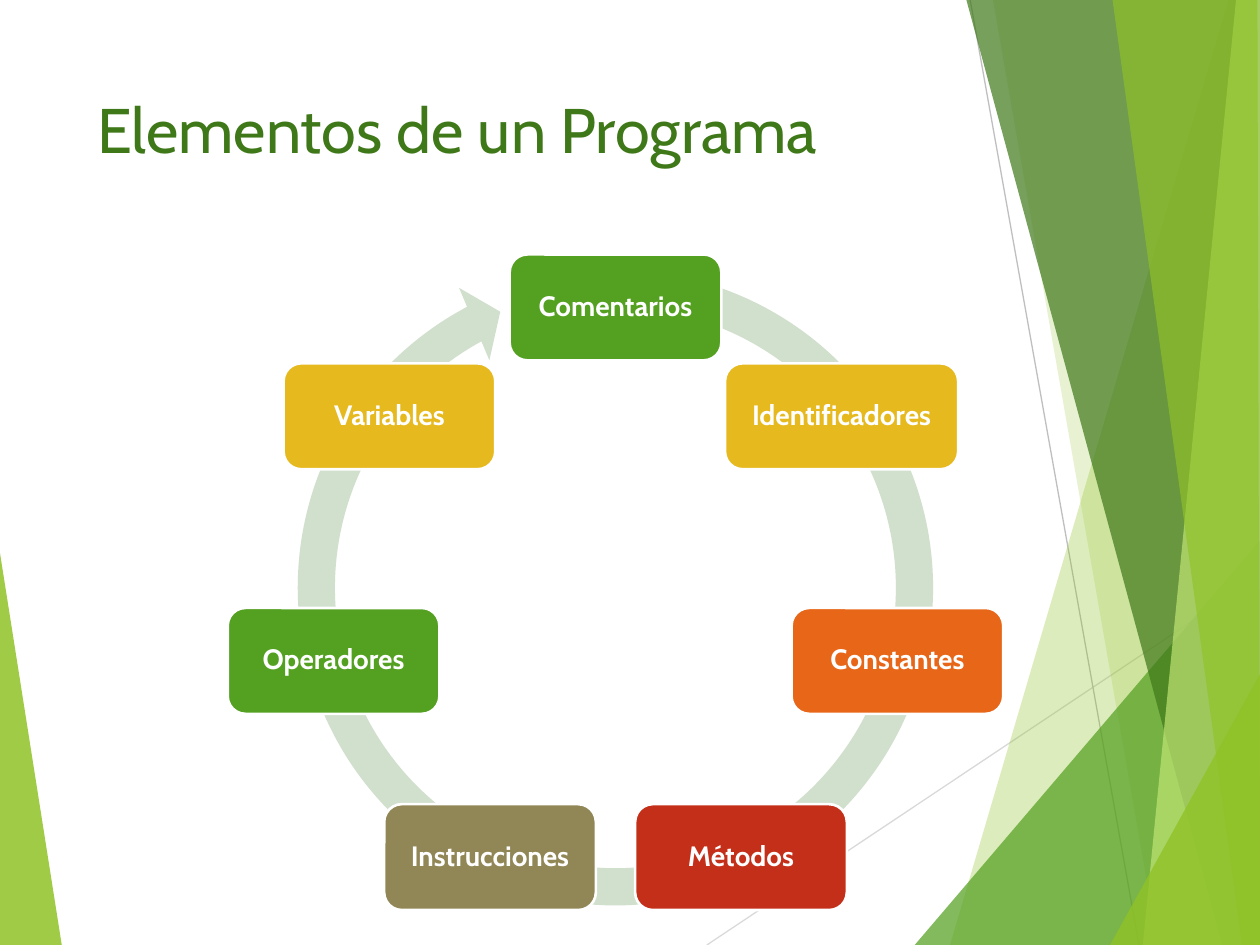
from math import cos, sin, tau
from lxml.etree import SubElement as Sub
from pptx import Presentation as Deck
from pptx.dml.color import RGBColor as Rgb
from pptx.enum.shapes import MSO_CONNECTOR as Link, MSO_SHAPE as Kind
from pptx.enum.text import MSO_ANCHOR as Anchor, MSO_AUTO_SIZE as Fit, PP_ALIGN as Align
from pptx.oxml.ns import qn
from pptx.util import Inches, Pt

FONT = "Cabin"
COLORS = {
    "lime": "90C226", "green": "54A021", "forest": "3F7819", "pale": "C0E474",
    "gold": "E6B91E", "orange": "E76618", "red": "C42F1A", "olive": "918655",
    "ring": "D1DFCD", "white": "FFFFFF", "gray": "BFBFBF", "mist": "D9D9D9",
}
LINES = [
    ("mist", (5.61, 7.5), (10, 4.57)),
    ("gray", (7.7, 0), (9.04, 7.5)),
]
FACETS = [
    ("lime", 85, [(0, 4.39), (0.49, 7.5), (0, 7.5)]),
    ("lime", 30, [(9.75, 0), (7.54, 7.5), (10, 7.5), (10, 0)]),
    ("lime", 20, [(7.88, 0), (9.19, 7.5), (10, 7.5), (10, 0)]),
    ("green", 72, [(7.26, 7.5), (10, 4.29), (10, 7.5)]),
    ("forest", 70, [(7.67, 0), (9.7, 7.5), (10, 7.5), (10, 0)]),
    ("pale", 70, [(9.81, 0), (9.07, 7.5), (10, 7.5), (10, 0)]),
    ("lime", 65, [(8.83, 0), (9.86, 7.5), (10, 7.5), (9.98, 0)]),
    ("lime", 80, [(8.81, 7.5), (10, 5.35), (10, 7.5)]),
]
NODES = [
    ("Comentarios", "green", 1.68), ("Identificadores", "gold", 1.85),
    ("Constantes", "orange", 1.68), ("Métodos", "red", 1.68),
    ("Instrucciones", "olive", 1.68), ("Operadores", "green", 1.68),
    ("Variables", "gold", 1.68),
]


def tint(name):
    return Rgb.from_string(COLORS[name])


def paint(shape, name, alpha=100):
    shape.shadow.inherit = False
    shape.fill.solid()
    shape.fill.fore_color.rgb = tint(name)
    shape.line.fill.background()
    if alpha < 100:
        color = shape.fill._xPr.find(qn("a:solidFill"))[0]
        Sub(color, qn("a:alpha")).set("val", str(alpha * 1000))


def write(shape, text, size, name, align, bold=False):
    par = shape.text_frame.paragraphs[0]
    par.alignment = align
    run = par.add_run()
    run.text = text
    run.font.name = FONT
    run.font.size = Pt(size)
    run.font.bold = bold
    run.font.color.rgb = tint(name)
    return par


def add_decor(slide, left, top):
    def spot(point):
        return Inches(left + point[0]), Inches(top + point[1])

    for name, start, end in LINES:
        line = slide.shapes.add_connector(Link.STRAIGHT, *spot(start), *spot(end))
        line.line.color.rgb = tint(name)
        line.line.width = Pt(0.75)
        Sub(line._element.spPr, qn("a:effectLst"))
    for name, alpha, points in FACETS:
        pen = slide.shapes.build_freeform(*spot(points[0]))
        pen.add_line_segments([spot(p) for p in points[1:]], close=True)
        paint(pen.convert_to_shape(), name, alpha)


def add_title(slide, left, top, width, height):
    title = slide.shapes.title
    title.left, title.top = Inches(left), Inches(top)
    title.width, title.height = Inches(width), Inches(height)
    title.text_frame.vertical_anchor = Anchor.TOP
    title.text_frame.auto_size = Fit.NONE
    write(title, "Elementos de un Programa", 36, "forest", Align.LEFT)


def add_node(slide, mid_x, mid_y, text, name, width, height=0.84):
    node = slide.shapes.add_shape(
        Kind.ROUNDED_RECTANGLE, Inches(mid_x - width / 2),
        Inches(mid_y - height / 2), Inches(width), Inches(height))
    paint(node, name)
    node.line.color.rgb = tint("white")
    node.line.width = Pt(1.5)
    frame = node.text_frame
    frame.word_wrap = True
    frame.vertical_anchor = Anchor.MIDDLE
    frame.margin_left = frame.margin_right = Inches(0.11)
    frame.margin_top = frame.margin_bottom = Inches(0.11)
    par = write(node, text, 16, "white", Align.CENTER, True)
    par.line_spacing = 0.9


def add_cycle(slide, left, top, size):
    ring = slide.shapes.add_shape(
        Kind.CIRCULAR_ARROW, Inches(left), Inches(top), Inches(size), Inches(size))
    for i, value in enumerate((0.055, 3.307, 145.096, 169.537, 0.058)):
        ring.adjustments[i] = value
    paint(ring, "ring")
    mid_x, mid_y, radius = left + size / 2, top + size / 2 + 0.07, 2.295
    for i, (text, name, width) in enumerate(NODES):
        turn = i * tau / len(NODES)
        add_node(slide, mid_x + radius * sin(turn), mid_y - radius * cos(turn),
                 text, name, width)


deck = Deck()
deck.slide_width, deck.slide_height = Inches(10), Inches(7.5)
slide = deck.slides.add_slide(deck.slide_layouts[5])
add_decor(slide, 0, 0)
add_title(slide, 0.67, 0.67, 6.94, 1.44)
add_cycle(slide, 2.2, 1.98, 5.37)
deck.save("out.pptx")
